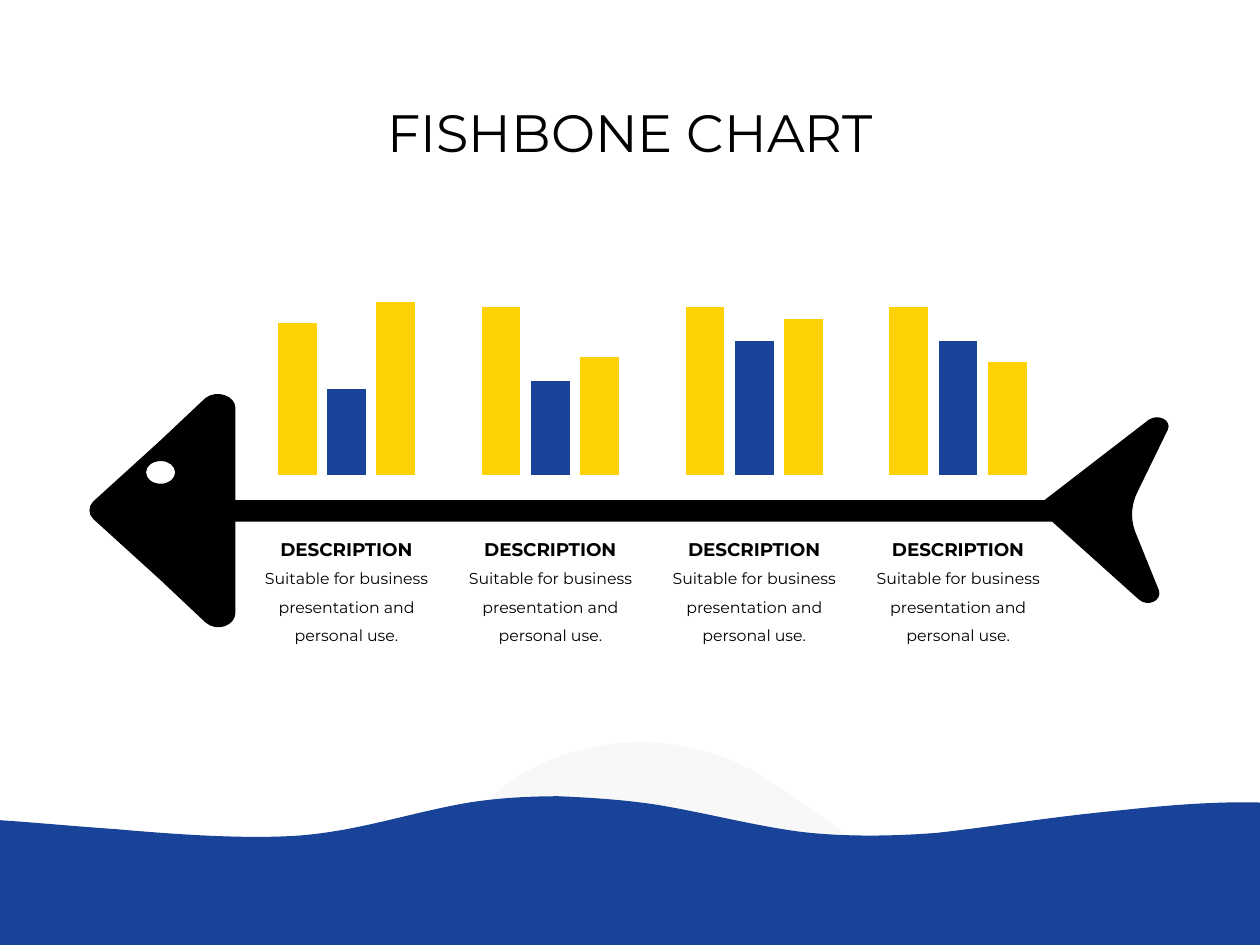
from dataclasses import dataclass
from typing import Any, NamedTuple

import pptx
import pptx.chart.data
import pptx.dml.color
import pptx.enum.chart
import pptx.enum.text
import pptx.util
from lxml import etree
from pptx.oxml import parse_xml
from pptx.oxml.ns import nsdecls, qn

Pt = pptx.util.Pt
RGB = pptx.dml.color.RGBColor.from_string
ANCHOR = pptx.enum.text.MSO_ANCHOR
FIT = pptx.enum.text.MSO_AUTO_SIZE


@dataclass(frozen=True)
class Theme:
    """Colours, font and type sizes of the slide."""
    font: str = "Montserrat"
    ink: str = "000000"
    white: str = "FFFFFF"
    yellow: str = "FFD205"
    blue: str = "194399"
    hill: str = "F2F2F2"
    title: float = 30
    label: float = 10.5
    body: float = 9
    chart: float = 10
    axis: float = 12


class Box(NamedTuple):
    """Left, top, width and height in points."""
    left: float
    top: float
    width: float
    height: float


class Rib(NamedTuple):
    """One column of the fish: its bar values and the top of its scale."""
    values: tuple[int, ...]
    scale_top: int


class Contour(NamedTuple):
    """A start point, then lines (x, y) and cubic curves (six numbers)."""
    start: tuple[float, float]
    steps: list[tuple[float, ...]]


T = Theme()
PITCH = 116.5
RIBS = [Rib((88, 50, 100), 110), Rib((100, 56, 70), 113),
        Rib((100, 80, 93), 113), Rib((100, 80, 67), 113)]
PLOT = {"x": 0.02, "y": 0.04, "w": 0.96, "h": 0.81}

HILL = Contour((362.2, 424.1), [
    (385.2, 423.4, 409.7, 429.1, 430.6, 440.6),
    (473.8, 464.4, 511.9, 509, 565.2, 511.9),
    (599, 513.4, 629.3, 493.9, 662.4, 488.2),
    (682.6, 485.3, 700.6, 487.4, 715, 493.2),
    (720, 495.4), (720, 540), (0, 540), (0, 501.8), (0.7, 501.1),
    (6.5, 499, 13, 497, 18.7, 495.4),
    (37.4, 491, 56.9, 486, 75.6, 488.9),
    (91.4, 490.3, 106.6, 497.5, 121.7, 501.8),
    (159.8, 513.4, 211, 517, 242.6, 491.8),
    (256.3, 481, 266.4, 467.3, 279.4, 456.5),
    (301, 436.3, 331.2, 425.5, 362.2, 424.1)])
WAVE = Contour((0, 540), [
    (720, 540), (720, 458.6),
    (695.5, 457.9, 667.4, 460.1, 640.8, 463),
    (601.9, 466.6, 568.1, 472.3, 535.7, 475.9),
    (508.3, 478.1, 479.5, 478.1, 456.5, 475.2),
    (429.8, 471.6, 406.1, 465.1, 376.6, 460.1),
    (358.6, 457.2, 338.4, 455.8, 319, 455),
    (298.8, 455, 279.4, 456.5, 263.5, 459.4),
    (229.7, 465.8, 205.2, 474.5, 172.1, 477.4),
    (143.3, 479.5, 106.6, 477.4, 66.2, 473.8),
    (43.9, 472.3, 22.3, 470.2, 0, 468.7)])
FISH = Contour((53.3, 286.6), [
    (91.4, 252), (117.4, 227.5), (123.8, 222.5, 134.6, 226.1, 134.6, 233.3),
    (134.6, 285.8), (596.9, 285.8), (656.6, 239.8),
    (662.4, 236.2, 669.6, 240.5, 667.4, 245.5),
    (650.2, 280.8), (646.6, 288, 645.8, 295.9, 648.7, 303.8),
    (662.4, 337.7), (663.8, 343.4, 655.9, 347, 650.9, 342.7),
    (601.2, 298.1), (134.6, 298.1), (134.6, 349.9),
    (134.6, 357.8, 123.8, 361.4, 117.4, 355.7),
    (91.4, 331.2), (53.3, 296.6), (50.4, 293.8, 50.4, 289.4, 53.3, 286.6)])
EYE = Contour((92, 276.5), [
    (96.5, 276.5, 100.1, 273.6, 100.1, 270),
    (100.1, 266.4, 96.5, 263.5, 92, 263.5),
    (87.1, 263.5, 83.5, 266.4, 83.5, 270),
    (83.5, 273.6, 87.1, 276.5, 92, 276.5)])


def put(obj: Any, values: dict[str, Any]) -> None:
    """Set each named attribute of an object."""
    for name, value in values.items():
        setattr(obj, name, value)


def set_font(font: Any, size: float, color: str, bold: bool = False) -> None:
    """Apply the theme font with a size and colour."""
    put(font, {"name": T.font, "size": Pt(size), "bold": bold})
    font.color.rgb = RGB(color)


def vertices(contour: Contour) -> list[tuple[int, int]]:
    """List every point of a contour, control points included."""
    return [(Pt(x), Pt(y)) for step in contour.steps
            for x, y in zip(step[::2], step[1::2])]


def bend(sp: Any, contours: list[Contour]) -> None:
    """Join each three lines that stand for a cubic curve into one."""
    lines = iter(sp._element.findall(".//" + qn("a:lnTo")))
    for step in (step for contour in contours for step in contour.steps):
        group = [next(lines) for _ in range(len(step) // 2)]
        if len(group) == 3:
            curve = etree.Element(qn("a:cubicBezTo"))
            group[0].addprevious(curve)
            for line in group:
                curve.append(line[0])
                line.getparent().remove(line)


def add_outline(s: Any, contours: list[Contour], color: str, alpha: int = 100) -> None:
    """Draw filled contours as one freeform; later contours cut holes."""
    first, *holes = contours
    fb = s.shapes.build_freeform(*map(Pt, first.start), scale=1.0)
    fb.add_line_segments(vertices(first))
    for hole in holes:
        fb.move_to(*map(Pt, hole.start))
        fb.add_line_segments(vertices(hole))
    sp = fb.convert_to_shape()
    bend(sp, contours)
    sp.shadow.inherit = False
    sp.fill.solid()
    sp.fill.fore_color.rgb = RGB(color)
    sp.line.fill.background()
    if alpha < 100:
        clr = sp._element.spPr.find(".//" + qn("a:srgbClr"))
        etree.SubElement(clr, qn("a:alpha"), val=str(alpha * 1000))


def add_text(s: Any, box: Box, text: str, size: float, bold: bool = False,
             wrap: bool = True, spacing: float = 1.0, inset_top: float = 3.6) -> None:
    """Add a centred text box."""
    tf = s.shapes.add_textbox(*map(Pt, box)).text_frame
    put(tf, {"word_wrap": wrap, "vertical_anchor": ANCHOR.MIDDLE,
             "auto_size": FIT.SHAPE_TO_FIT_TEXT, "margin_top": Pt(inset_top)})
    p = tf.paragraphs[0]
    put(p, {"alignment": pptx.enum.text.PP_ALIGN.CENTER, "line_spacing": spacing})
    r = p.add_run()
    r.text = text
    set_font(r.font, size, T.ink, bold)


def add_bars(s: Any, box: Box, rib: Rib) -> None:
    """Add a three-bar column chart without visible axes."""
    data = pptx.chart.data.CategoryChartData()
    data.categories = [""]
    for n, value in enumerate(rib.values, 1):
        data.add_series(f"Series {n}", [value])
    kind = pptx.enum.chart.XL_CHART_TYPE.COLUMN_CLUSTERED
    chart = s.shapes.add_chart(kind, *map(Pt, box), data).chart
    put(chart, {"has_legend": False, "has_title": False})
    set_font(chart.font, T.chart, T.ink)
    none = pptx.enum.chart.XL_TICK_MARK.NONE
    put(chart.category_axis, {"major_tick_mark": none, "minor_tick_mark": none})
    chart.category_axis.format.line.fill.background()
    set_font(chart.category_axis.tick_labels.font, T.axis, T.white)
    put(chart.value_axis, {"visible": False, "has_major_gridlines": False,
                           "minimum_scale": 0, "maximum_scale": rib.scale_top})
    plot = chart.plots[0]
    put(plot, {"gap_width": 219, "overlap": -27, "vary_by_categories": False})
    for series, color in zip(plot.series, (T.yellow, T.blue, T.yellow)):
        series.format.fill.solid()
        series.format.fill.fore_color.rgb = RGB(color)
    area = chart._chartSpace.find(".//" + qn("c:plotArea"))
    for old in area.findall(qn("c:layout")):
        area.remove(old)
    sizes = "".join(f'<c:{k} val="{v}"/>' for k, v in PLOT.items())
    area.insert(0, parse_xml(
        f'<c:layout {nsdecls("c")}><c:manualLayout><c:layoutTarget val="inner"/>'
        f'<c:xMode val="edge"/><c:yMode val="edge"/>{sizes}</c:manualLayout></c:layout>'))


def main() -> None:
    """Build and save the slide."""
    prs = pptx.Presentation()
    put(prs, {"slide_width": Pt(720), "slide_height": Pt(540)})
    s = prs.slides.add_slide(prs.slide_layouts[6])
    add_outline(s, [HILL], T.hill, alpha=50)
    add_outline(s, [WAVE], T.blue)
    add_text(s, Box(143.7, 49.7, 432.7, 47.5), "FISHBONE CHART", T.title,
             spacing=0.9, inset_top=11.5)
    add_outline(s, [FISH, EYE], T.ink)
    for i, rib in enumerate(RIBS):
        dx = i * PITCH
        add_bars(s, Box(131.8 + dx, 157.6, 132.5, 133.9), rib)
        add_text(s, Box(151.5 + dx, 303.8, 92.9, 20.2), "DESCRIPTION", T.label,
                 bold=True, wrap=False)
        add_text(s, Box(142.2 + dx, 316.8, 111.6, 54.7),
                 "Suitable for business presentation and personal use.", T.body, spacing=1.5)
    prs.save("out.pptx")


main()
